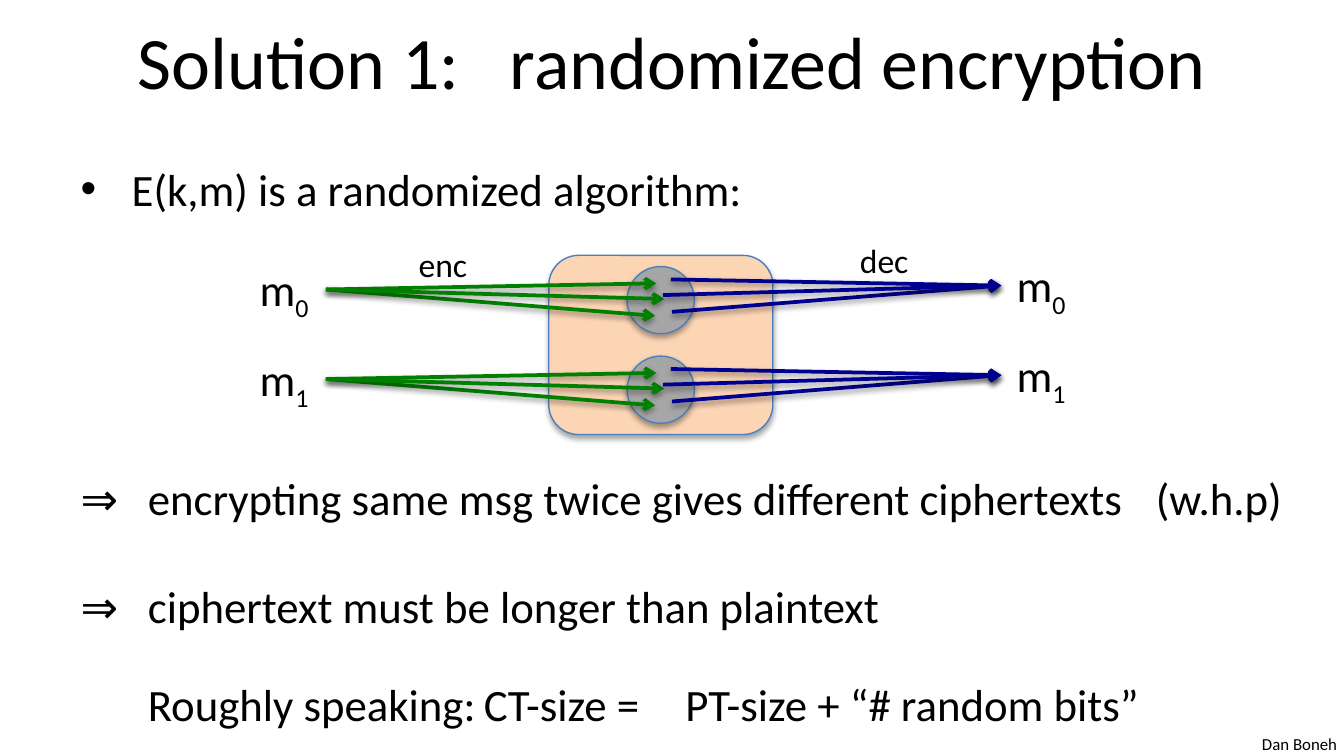
from dataclasses import dataclass
from lxml.etree import SubElement
from pptx import Presentation
from pptx.dml.color import RGBColor
from pptx.enum.shapes import MSO_CONNECTOR, MSO_SHAPE
from pptx.enum.text import MSO_ANCHOR, MSO_AUTO_SIZE, PP_ALIGN
from pptx.oxml.ns import qn
from pptx.util import Inches, Pt


@dataclass(frozen=True)
class Theme:
    font: str = "Calibri"
    ink: str = "000000"
    panel: str = "FCD5B5"
    disc: str = "A6A6A6"
    edge: str = "4B7EBC"
    enc: str = "008000"
    dec: str = "000090"
    title: float = 39.6
    body: float = 24
    label: float = 18
    foot: float = 9


THEME = Theme()
# Arrow ends relative to the hub of a fan, in grid cells
FAN = ((29.5, -0.55), (29.4, 2.35), (30.2, 0.85))


def cell(n):
    """Length of n grid cells; the slide is 120 columns by 67.5 rows."""
    return Inches(n / 12)


def place(shape, box):
    shape.left, shape.top, shape.width, shape.height = map(cell, box)


def style(para, size):
    font = para.font
    font.name, font.size = THEME.font, Pt(size)
    font.color.rgb = RGBColor.from_string(THEME.ink)


def shade(shape, alpha, dist):
    """Add a soft shadow that falls straight down."""
    fx = SubElement(shape._element.spPr, qn("a:effectLst"))
    drop = SubElement(fx, qn("a:outerShdw"), blurRad=str(Pt(3.1)),
                      dist=str(Pt(dist)), dir="5400000", rotWithShape="0")
    color = SubElement(drop, qn("a:srgbClr"), val="000000")
    SubElement(color, qn("a:alpha"), val=str(alpha * 1000))


def label(slide, box, text, size, sub=""):
    shape = slide.shapes.add_textbox(*map(cell, box))
    shape.text_frame.word_wrap = False
    para = shape.text_frame.paragraphs[0]
    para.add_run().text = text
    if sub:
        run = para.add_run()
        run.text = sub
        run._r.get_or_add_rPr().set("baseline", "-25000")
    style(para, size)


def block(slide, kind, box, fill):
    shape = slide.shapes.add_shape(kind, *map(cell, box))
    shape.fill.solid()
    shape.fill.fore_color.rgb = RGBColor.from_string(fill)
    shape.line.color.rgb = RGBColor.from_string(THEME.edge)
    shape.line.width = Pt(0.75)
    shade(shape, 35, 1.8)


def fan(slide, hub, side, color, end):
    """Draw three arrows between the hub and a disc on the given side."""
    x, y = hub
    for dx, dy in FAN:
        line = slide.shapes.add_connector(
            MSO_CONNECTOR.STRAIGHT,
            *map(cell, (x, y, x + side * dx, y + dy)))
        line.line.color.rgb = RGBColor.from_string(color)
        line.line.width = Pt(2)
        SubElement(line.line._get_or_add_ln(), qn(end), type="arrow")
        shade(line, 38, 1.6)


def heading(slide, box):
    shape = slide.shapes.title
    place(shape, box)
    frame = shape.text_frame
    frame.auto_size = MSO_AUTO_SIZE.NONE
    frame.vertical_anchor = MSO_ANCHOR.MIDDLE
    para = frame.paragraphs[0]
    para.alignment = PP_ALIGN.CENTER
    runs = [para.add_run() for _ in range(3)]
    for run, text in zip(runs, ("Solution 1:", " ", "randomized encryption")):
        run.text = text
    runs[1]._r.get_or_add_rPr().set("spc", "1790")
    style(para, THEME.title)


def points(slide, box):
    shape = slide.placeholders[1]
    place(shape, box)
    frame = shape.text_frame
    frame.auto_size = MSO_AUTO_SIZE.NONE
    # Text, space before in points, tab stops in inches
    rows = (
        ("E(k,m) is a randomized algorithm:", 0, ()),
        ("⇒\tencrypting same msg twice gives different ciphertexts\t(w.h.p)",
         137, (0.43, 7.9)),
        ("⇒\tciphertext must be longer than plaintext", 29, (0.43,)),
        ("\tRoughly speaking:\tCT-size =\tPT-size + “# random bits”",
         23.8, (1, 3.66, 5.05)),
    )
    for i, (text, gap, tabs) in enumerate(rows):
        para = frame.add_paragraph() if i else frame.paragraphs[0]
        para.text = text
        para.space_before = Pt(gap)
        props = para._p.get_or_add_pPr()
        left = 0 if tabs else Inches(0.38)
        props.set("marL", str(left))
        props.set("indent", str(-left))
        if tabs:
            SubElement(props, qn("a:buNone"))
            stops = SubElement(props, qn("a:tabLst"))
            for pos in tabs:
                SubElement(stops, qn("a:tab"), pos=str(Inches(pos)), algn="l")
        else:
            SubElement(props, qn("a:buChar"), char="•")
        style(para, THEME.body)


def diagram(slide, box):
    """Messages fan out to discs of ciphertexts and back again."""
    x, y, wide, high = box
    mid = x + wide / 2
    block(slide, MSO_SHAPE.ROUNDED_RECTANGLE,
          (mid - 10, y + 2, 20, 16), THEME.panel)
    pitch = high / 2 - 1
    for i in range(2):
        block(slide, MSO_SHAPE.OVAL,
              (mid - 3, y + 3 + i * pitch, 6, 6), THEME.disc)
    # Name, hub, side, colour, arrow end, offsets of message and caption
    sides = (
        ("enc", (x + 7.1, y + 5.05), 1, THEME.enc, "a:tailEnd", -7.1, 7.1),
        ("dec", (x + 67.4, y + 4.7), -1, THEME.dec, "a:headEnd", 0.2, -13.8),
    )
    for name, (hx, hy), side, color, end, near, far in sides:
        for i in range(2):
            row = hy + i * pitch
            label(slide, (hx + near, row - 3.05, 7, 6), "m", THEME.body, str(i))
            fan(slide, (hx, row), side, color, end)
        label(slide, (hx + far, hy - 4.7, 6.85, 4.8), name, THEME.label)


def main():
    deck = Presentation()
    deck.slide_width, deck.slide_height = cell(120), cell(67.5)
    slide = deck.slides.add_slide(deck.slide_layouts[1])
    label(slide, (111.5, 64.9, 9.1, 3), "Dan Boneh", THEME.foot)
    heading(slide, (6, -0.25, 108, 11.25))
    points(slide, (6, 13.8, 110, 53.7))
    diagram(slide, (22, 20.8, 74, 18))
    deck.save("out.pptx")


if __name__ == "__main__":
    main()
